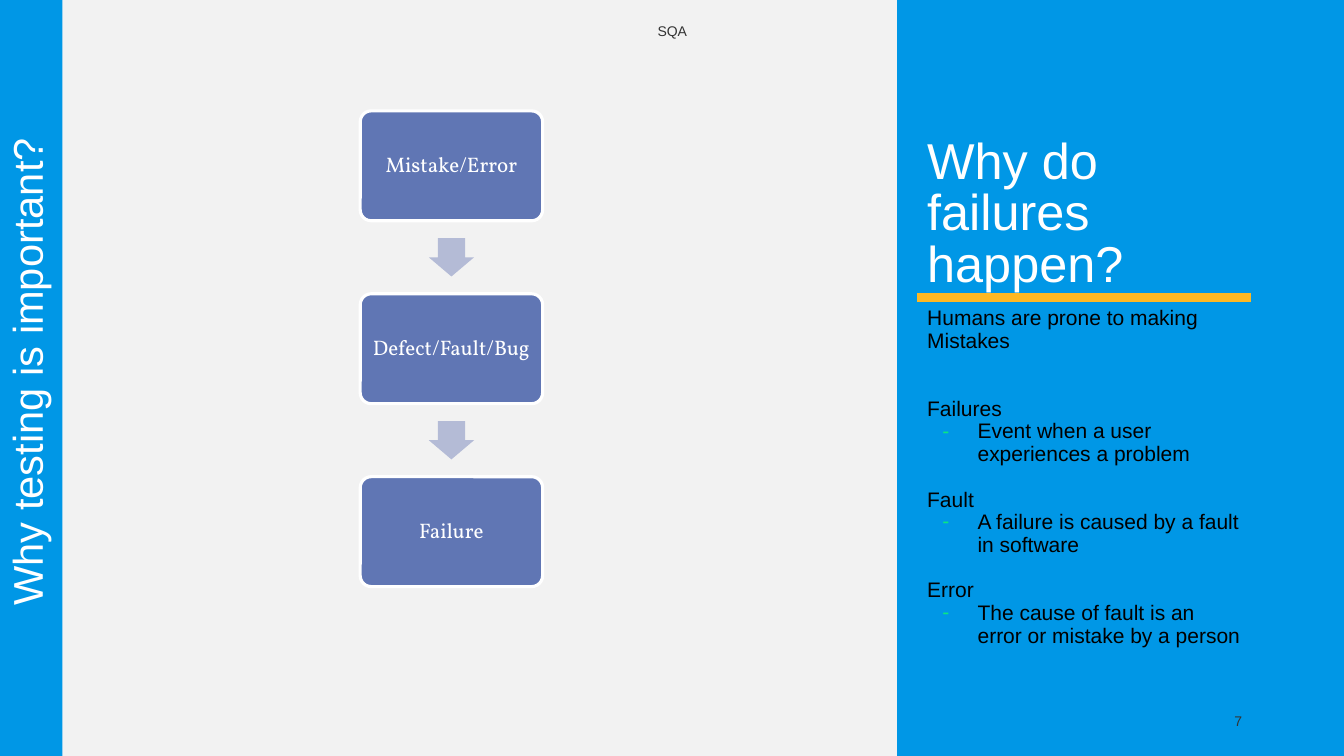
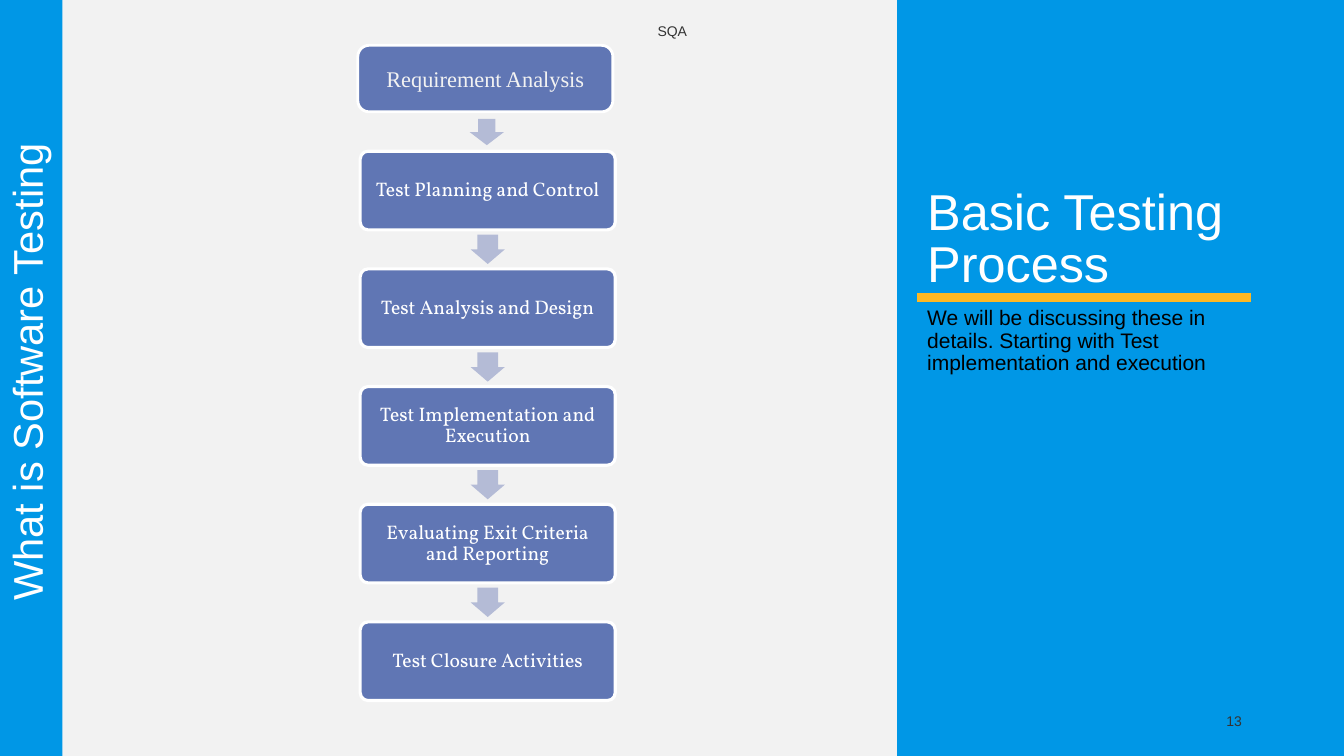
from dataclasses import dataclass

from lxml import etree
from pptx import Presentation
from pptx.dml.color import RGBColor
from pptx.enum.shapes import MSO_CONNECTOR, MSO_SHAPE
from pptx.enum.text import MSO_ANCHOR, PP_ALIGN
from pptx.oxml.ns import qn
from pptx.util import Pt

RECTANGLE = MSO_SHAPE.RECTANGLE
ROUNDED = MSO_SHAPE.ROUNDED_RECTANGLE
DOWN_ARROW = MSO_SHAPE.DOWN_ARROW
STRAIGHT = MSO_CONNECTOR.STRAIGHT
TOP, MIDDLE, BOTTOM = MSO_ANCHOR.TOP, MSO_ANCHOR.MIDDLE, MSO_ANCHOR.BOTTOM
LEFT, CENTER, RIGHT = PP_ALIGN.LEFT, PP_ALIGN.CENTER, PP_ALIGN.RIGHT


@dataclass(frozen=True)
class Theme:
    backdrop: str = "F2F2F2"
    band: str = "0097E6"
    rule: str = "FDB823"
    bullet: str = "0BE881"
    step: str = "6076B4"
    arrow: str = "B4BBD6"
    light: str = "FFFFFF"
    dark: str = "000000"
    muted: str = "333333"
    font: str = "Arial"
    step_font: str = "Vollkorn"
    first_step_font: str = "Times New Roman"
    title_size: float = 36
    side_size: float = 29.7
    first_step_size: float = 16
    body_size: float = 15
    small_size: float = 10
    title_spacing: float = 0.85
    body_spacing: float = 0.9


@dataclass(frozen=True)
class Box:
    left: float
    top: float
    width: float
    height: float

    def lengths(self):
        return [Pt(value) for value in (self.left, self.top, self.width, self.height)]


THEME = Theme()
SLIDE = Box(0, 0, 960, 540)
SIDE_BAND = Box(0, 0, 44.64, 540)
PANEL = Box(640.8, 0, 319.2, 540)
HEADER = Box(318.24, 7.92, 324, 28.8)
NUMBER = Box(678.24, 500.4, 216, 28.8)


def color(value):
    return RGBColor.from_string(value)


def set_bullet(para, char):
    properties = para._p.get_or_add_pPr()
    properties.set("marL", str(Pt(36)))
    properties.set("indent", str(-Pt(25.2)))
    bullet_color = etree.SubElement(properties, qn("a:buClr"))
    etree.SubElement(bullet_color, qn("a:srgbClr"), val=THEME.bullet)
    etree.SubElement(properties, qn("a:buFont"), typeface=THEME.font)
    etree.SubElement(properties, qn("a:buChar"), char=char)


def write_text(para, text, *, size, ink, font=THEME.font, align=LEFT,
               spacing=None, before=None, bullet=None):
    if bullet:
        set_bullet(para, bullet)
    para.alignment = align
    if spacing:
        para.line_spacing = spacing
    if before:
        para.space_before = Pt(before)
    span = para.add_run()
    span.text = text
    span.font.name = font
    span.font.size = Pt(size)
    span.font.color.rgb = color(ink)


def prepare_frame(frame, anchor, inset_x=7.2, inset_y=3.6):
    frame.word_wrap = True
    frame.vertical_anchor = anchor
    frame.margin_left = frame.margin_right = Pt(inset_x)
    frame.margin_top = frame.margin_bottom = Pt(inset_y)


def add_text(page, box, text, anchor=MIDDLE, **text_format):
    shape = page.shapes.add_textbox(*box.lengths())
    prepare_frame(shape.text_frame, anchor)
    write_text(shape.text_frame.paragraphs[0], text, **text_format)
    return shape


def add_block(page, kind, box, fill, border=None, adjustments=()):
    shape = page.shapes.add_shape(kind, *box.lengths())
    shape.shadow.inherit = False
    shape.fill.solid()
    shape.fill.fore_color.rgb = color(fill)
    if border:
        shape.line.color.rgb = color(THEME.light)
        shape.line.width = Pt(border)
    else:
        shape.line.fill.background()
    for index, value in enumerate(adjustments):
        shape.adjustments[index] = value
    return shape


def add_step(page, box, text, border=2.25, corner=0.1, inset=4.32, **text_format):
    shape = add_block(page, ROUNDED, box, THEME.step, border, [corner])
    prepare_frame(shape.text_frame, MIDDLE, inset, inset)
    write_text(shape.text_frame.paragraphs[0], text, align=CENTER, **text_format)


def add_flow(page, box, steps, step_height, arrow_width, arrow_height, size):
    pitch = (box.height - step_height) / (len(steps) - 1)
    gap = pitch - step_height
    for index, text in enumerate(steps):
        top = box.top + index * pitch
        add_step(page, Box(box.left, top, box.width, step_height), text, size=size,
                 ink=THEME.light, font=THEME.step_font, spacing=THEME.body_spacing)
        if index:
            arrow = Box(box.left + (box.width - arrow_width) / 2,
                        top - (gap + arrow_height) / 2, arrow_width, arrow_height)
            add_block(page, DOWN_ARROW, arrow, THEME.arrow, adjustments=[0.6, 0.5])


def add_first_step(page, box, text):
    add_step(page, box, text, border=2, corner=0.17, size=THEME.first_step_size,
             ink=THEME.backdrop, font=THEME.first_step_font)
    arrow = Box(box.left + 79.9, box.top + 52.6, 24.5, 18.7)
    add_block(page, DOWN_ARROW, arrow, THEME.arrow)


def add_side_band(page, box, title):
    add_block(page, RECTANGLE, box, THEME.band)
    length, depth = 485.3, 36
    center_x, center_y = box.left + box.width / 2, box.top + 265.7
    title_box = Box(center_x - length / 2, center_y - depth / 2, length, depth)
    shape = add_text(page, title_box, title, BOTTOM, size=THEME.side_size,
                     ink=THEME.light, align=CENTER, spacing=THEME.title_spacing)
    shape.rotation = 270


def add_panel(page, box, title, body):
    add_block(page, RECTANGLE, box, THEME.band)
    left, width, rule_top = box.left + 14.4, 238.7, box.top + 212.4
    rule = page.shapes.add_connector(STRAIGHT, Pt(left), Pt(rule_top),
                                     Pt(left + width), Pt(rule_top))
    rule.line.color.rgb = color(THEME.rule)
    rule.line.width = Pt(6)
    etree.SubElement(rule._element.spPr, qn("a:effectLst"))
    add_text(page, Box(left, rule_top - 180, width, 180), title, BOTTOM,
             size=THEME.title_size, ink=THEME.light, spacing=THEME.title_spacing)
    shape = page.shapes.add_textbox(*Box(left, rule_top + 3.6, width, 266.4).lengths())
    frame = shape.text_frame
    prepare_frame(frame, TOP)
    for index, (text, paragraph_format) in enumerate(body):
        para = frame.add_paragraph() if index else frame.paragraphs[0]
        write_text(para, text, size=THEME.body_size, ink=THEME.dark,
                   spacing=THEME.body_spacing, **paragraph_format)


def add_page(deck, side_title, title, body, number):
    page = deck.slides.add_slide(deck.slide_layouts[6])
    page.background.fill.solid()
    page.background.fill.fore_color.rgb = color(THEME.backdrop)
    add_panel(page, PANEL, title, body)
    add_side_band(page, SIDE_BAND, side_title)
    small = {"size": THEME.small_size, "ink": THEME.muted}
    add_text(page, HEADER, "SQA", align=CENTER, **small)
    add_text(page, NUMBER, number, align=RIGHT, **small)
    return page


def add_failures_page(deck):
    body = [("Humans are prone to making Mistakes", {})]
    causes = [
        ("Failures", "Event when a user experiences a problem", 32.4),
        ("Fault", "A failure is caused by a fault in software", 16.2),
        ("Error", "The cause of fault is an error or mistake by a person", 16.2),
    ]
    for term, meaning, before in causes:
        body += [(term, {"before": before}), (meaning, {"bullet": "-"})]
    page = add_page(deck, "Why testing is important?", "Why do failures happen?", body, "7")
    add_flow(page, Box(257.3, 79.2, 130.3, 339.8),
             ["Mistake/Error", "Defect/Fault/Bug", "Failure"],
             step_height=78.5, arrow_width=32.4, arrow_height=27.4, size=15)


def add_process_page(deck):
    body = [("We will be discussing these in details. Starting with Test "
             "implementation and execution", {})]
    page = add_page(deck, "What is Software Testing", "Basic Testing Process", body, "13")
    add_flow(page, Box(257.3, 108, 182.2, 392.4),
             ["Test Planning and Control", "Test Analysis and Design",
              "Test Implementation and Execution",
              "Evaluating Exit Criteria and Reporting", "Test Closure Activities"],
             step_height=56.2, arrow_width=24.5, arrow_height=20.9, size=14)
    add_first_step(page, Box(255.6, 32.4, 182.2, 47.5), "Requirement Analysis")


def main():
    deck = Presentation()
    deck.slide_width, deck.slide_height = Pt(SLIDE.width), Pt(SLIDE.height)
    add_failures_page(deck)
    add_process_page(deck)
    deck.save("out.pptx")


if __name__ == "__main__":
    main()
